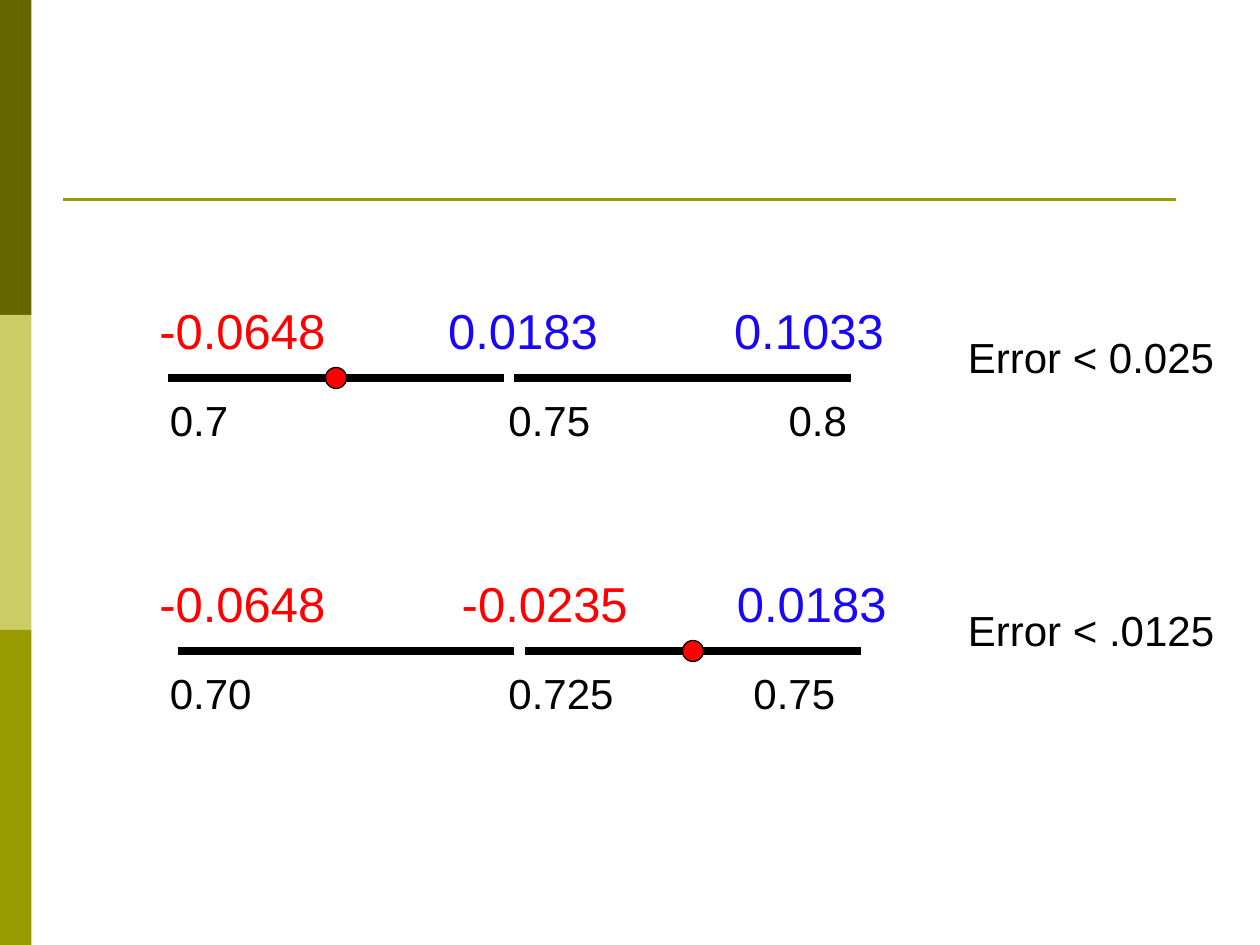
from lxml import etree
from pptx import Presentation
from pptx.dml.color import RGBColor
from pptx.enum.shapes import MSO_CONNECTOR, MSO_SHAPE
from pptx.enum.text import MSO_AUTO_SIZE
from pptx.oxml.ns import qn
from pptx.util import Pt

LINE = MSO_CONNECTOR.STRAIGHT
RECT = MSO_SHAPE.RECTANGLE
OVAL = MSO_SHAPE.OVAL
GROW = MSO_AUTO_SIZE.SHAPE_TO_FIT_TEXT
BLACK, RED, BLUE = "000000", "FF0000", "1908F8"
SPAN, GAP, DOT = 192, 6, 12

ROWS = [
    dict(top=168, start=12, mark=0, error="Error < 0.025", wide=174,
         values=[("-0.0648", RED), ("0.0183", BLUE), ("0.1033", BLUE)],
         stops=[165, 328.4],
         points=["0.7", "0.75", "0.8"], ticks=[193.5, 353.6]),
    dict(top=324, start=18, mark=1, error="Error < .0125", wide=156,
         values=[("-0.0648", RED), ("-0.0235", RED), ("0.0183", BLUE)],
         stops=[172.8, 330],
         points=["0.70", "0.725", "0.75"], ticks=[193.5, 333.5]),
]


def color(code):
    return RGBColor.from_string(code)


def add_line(slide, left, right, y, code, width):
    line = slide.shapes.add_connector(LINE, Pt(left), Pt(y), Pt(right), Pt(y))
    line.line.color.rgb = color(code)
    line.line.width = Pt(width)
    etree.SubElement(line._element.spPr, qn("a:effectLst"))


def add_form(slide, kind, box, code, edge=None):
    form = slide.shapes.add_shape(kind, *map(Pt, box))
    form.shadow.inherit = False
    form.fill.solid()
    form.fill.fore_color.rgb = color(code)
    if edge:
        form.line.color.rgb = color(edge)
        form.line.width = Pt(0.75)
    else:
        form.line.fill.background()


def add_text(slide, box, parts, size, stops=()):
    frame = slide.shapes.add_textbox(*map(Pt, box)).text_frame
    for name, value in dict(word_wrap=True, auto_size=GROW).items():
        setattr(frame, name, value)
    para = frame.paragraphs[0]
    if stops:
        tabs = etree.SubElement(para._p.get_or_add_pPr(), qn("a:tabLst"))
        for stop in stops:
            etree.SubElement(tabs, qn("a:tab"), pos=str(int(Pt(stop))), algn="l")
    for i, (text, code) in enumerate(parts):
        run = para.add_run()
        run.text = "\t" + text if i else text
        for name, value in dict(name="Arial", size=Pt(size)).items():
            setattr(run.font, name, value)
        run.font.color.rgb = color(code)


def add_frame(slide, left, top, width, height):
    part = height / 3
    for i, code in enumerate(["666600", "CCCC66", "999900"]):
        add_form(slide, RECT, (left, top + i * part, 18, part), code)
    add_line(slide, left + 36, left + width - 48, top + 114, "999900", 1.5)


def add_row(slide, left, row):
    top = row["top"]
    points = [(text, BLACK) for text in row["points"]]
    add_text(slide, (left + 6, top + 54, 402, 36), points, 24, row["ticks"])
    add_text(slide, (left, top, 432, 41), row["values"], 28, row["stops"])
    add_text(slide, (left + 462, top + 18, row["wide"], 36),
             [(row["error"], BLACK)], 24)
    y = top + 48
    starts = [left + row["start"] + i * (SPAN + GAP) for i in range(2)]
    for x in starts:
        add_line(slide, x, x + SPAN, y, BLACK, 4.5)
    x = starts[row["mark"]] + SPAN / 2
    add_form(slide, OVAL, (x - DOT / 2, y - DOT / 2, DOT, DOT), RED, BLACK)


def main():
    deck = Presentation()
    deck.slide_width, deck.slide_height = Pt(720), Pt(540)
    slide = deck.slides.add_slide(deck.slide_layouts[6])
    add_frame(slide, 0, 0, 720, 540)
    for row in ROWS:
        add_row(slide, 84, row)
    deck.save("out.pptx")


if __name__ == "__main__":
    main()
